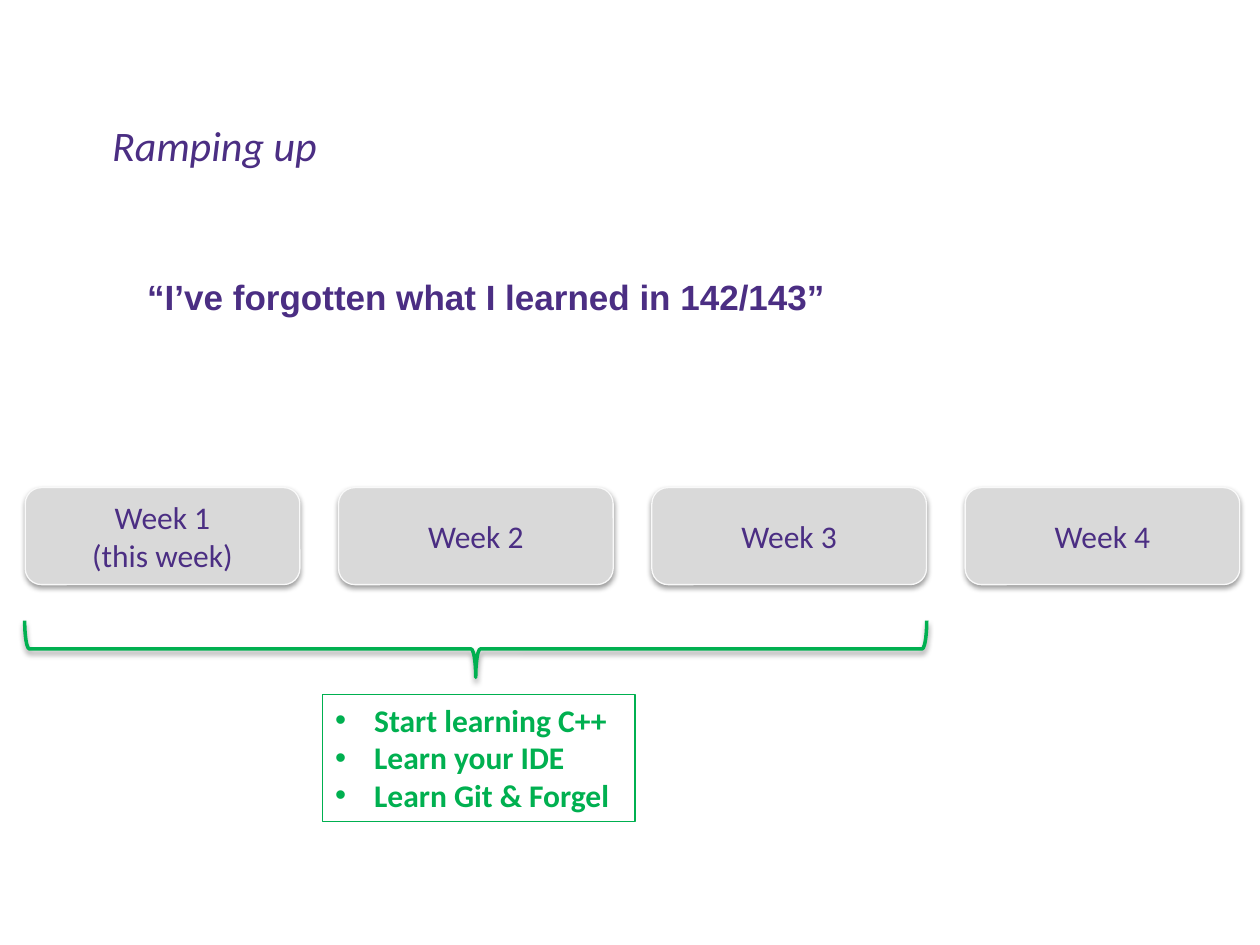
from dataclasses import dataclass

from lxml.etree import SubElement
from pptx import Presentation
from pptx.dml.color import RGBColor
from pptx.enum.shapes import MSO_SHAPE as Kind
from pptx.enum.text import MSO_ANCHOR as Anchor, MSO_AUTO_SIZE as Fit, PP_ALIGN as Align
from pptx.oxml.ns import qn
from pptx.util import Inches, Pt

HUES = {"ink": "4B2E83", "green": "00B050", "card": "D9D9D9", "edge": "F9F9F9", "shade": "000000"}


@dataclass
class Week:
    lines: list[str]
    left: float


def hue(name: str) -> RGBColor:
    return RGBColor.from_string(HUES[name])


def place(shape, left: float, top: float, width: float, height: float) -> None:
    shape.left, shape.top = Inches(left), Inches(top)
    shape.width, shape.height = Inches(width), Inches(height)


def mark(para, indent: float) -> None:
    """Give a paragraph a round bullet with a hanging indent."""
    props = para._p.get_or_add_pPr()
    props.set("marL", str(Inches(indent)))
    props.set("indent", str(-Inches(indent)))
    SubElement(props, qn("a:buFont"), typeface="Arial")
    SubElement(props, qn("a:buChar"), char="•")


def write(shape, lines: list[str], *, size: int, color: str = "ink", font: str = "Calibri",
          bold: bool = False, italic: bool = False, align=Align.LEFT, anchor=Anchor.TOP,
          grow: bool = True, wrap: bool = False, indent: float = 0) -> None:
    frame = shape.text_frame
    frame.word_wrap = wrap
    frame.auto_size = Fit.SHAPE_TO_FIT_TEXT if grow else Fit.NONE
    frame.vertical_anchor = anchor
    for i, line in enumerate(lines):
        para = frame.add_paragraph() if i else frame.paragraphs[0]
        if indent:
            mark(para, indent)
        para.alignment = align
        para.space_before = Pt(0)
        run = para.add_run()
        run.text = line
        style = run.font
        style.name, style.size = font, Pt(size)
        style.bold, style.italic = bold, italic
        style.color.rgb = hue(color)


def border(shape, color: str, width: float) -> None:
    shape.line.color.rgb = hue(color)
    shape.line.width = Pt(width)


def shade(shape) -> None:
    """Drop a soft shadow straight down."""
    shape.shadow.inherit = False
    group = shape._element.spPr.find(qn("a:effectLst"))
    outer = SubElement(group, qn("a:outerShdw"), blurRad=str(Pt(3.1)), dist=str(Pt(1.6)),
                       dir="5400000", rotWithShape="0")
    color = SubElement(outer, qn("a:srgbClr"), val=HUES["shade"])
    SubElement(color, qn("a:alpha"), val="38000")


def card(slide, week: Week) -> None:
    shape = slide.shapes.add_shape(Kind.ROUNDED_RECTANGLE, 0, 0, 0, 0)
    place(shape, week.left, 3.87, 2.18, 0.77)
    shape.fill.solid()
    shape.fill.fore_color.rgb = hue("card")
    border(shape, "edge", 0.75)
    shade(shape)
    write(shape, week.lines, size=18, align=Align.CENTER, anchor=Anchor.MIDDLE,
          grow=False, wrap=True)


def brace(slide) -> None:
    shape = slide.shapes.add_shape(Kind.RIGHT_BRACE, 0, 0, 0, 0)
    place(shape, 3.55, 1.57, 0.45, 7.16)
    shape.rotation = 90
    shape.fill.background()
    border(shape, "green", 2)
    shade(shape)


def main() -> None:
    deck = Presentation()
    deck.slide_width, deck.slide_height = Inches(10), Inches(7.5)
    slide = deck.slides.add_slide(deck.slide_layouts[1])

    title = slide.shapes.title
    place(title, 0.79, 0.9, 1.84, 0.5)
    write(title, ["Ramping up"], size=24, italic=True)

    quote = slide.shapes.add_textbox(0, 0, 0, 0)
    place(quote, 1.07, 2.14, 6.48, 0.44)
    write(quote, ["“I’ve forgotten what I learned in 142/143”"], size=20, font="Arial", bold=True)

    names = [["Week 1", "(this week)"], ["Week 2"], ["Week 3"], ["Week 4"]]
    first, last = 0.2, 7.66
    step = (last - first) / (len(names) - 1)
    for i, lines in enumerate(names):
        card(slide, Week(lines, first + i * step))

    brace(slide)
    goals = slide.placeholders[1]
    place(goals, 2.56, 5.51, 2.48, 1.01)
    border(goals, "green", 0.75)
    write(goals, ["Start learning C++", "Learn your IDE", "Learn Git & Forgel"],
          size=18, color="green", bold=True, grow=False, indent=0.31)

    deck.save("out.pptx")


if __name__ == "__main__":
    main()
